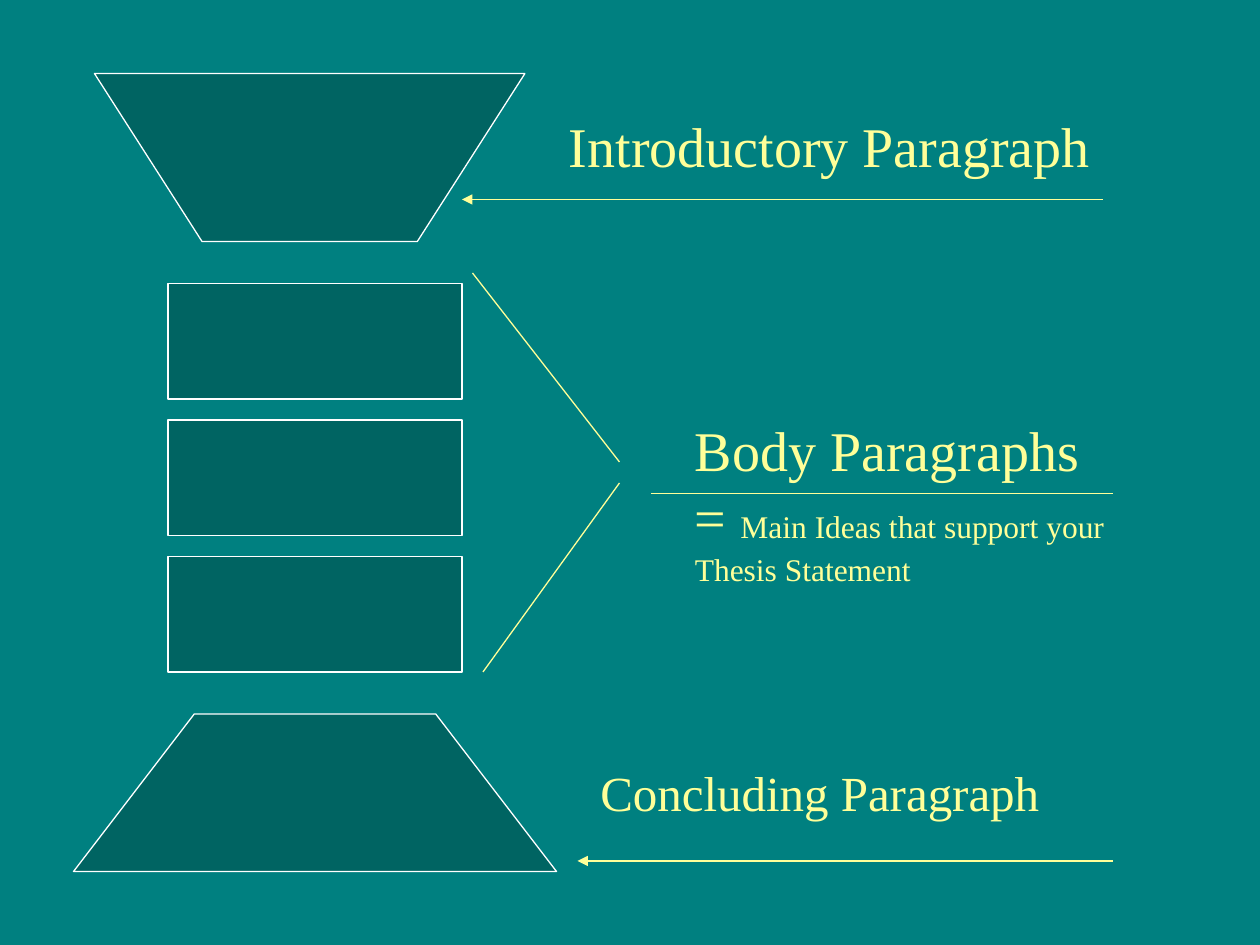
import pptx
import pptx.util
import pptx.dml.color
import pptx.enum.shapes
import pptx.oxml.ns
from dataclasses import dataclass
from lxml import etree


@dataclass(frozen=True)
class Theme:
    background: str = "008080"
    block: str = "006462"
    outline: str = "FFFFFF"
    accent: str = "FFFF99"
    font: str = "Times New Roman"
    large: int = 32
    medium: int = 28
    small: int = 18
    stroke: float = 0.75


@dataclass(frozen=True)
class Box:
    left: float
    top: float
    width: float
    height: float


THEME = Theme()
COLUMNS, ROWS = 120, 90

deck = pptx.Presentation()
deck.slide_width, deck.slide_height = pptx.util.Inches(10), pptx.util.Inches(7.5)
CELL_WIDTH, CELL_HEIGHT = deck.slide_width / COLUMNS, deck.slide_height / ROWS


def color(value):
    return pptx.dml.color.RGBColor.from_string(value)


def across(columns):
    return pptx.util.Emu(round(columns * CELL_WIDTH))


def down(rows):
    return pptx.util.Emu(round(rows * CELL_HEIGHT))


def place(box):
    return across(box.left), down(box.top), across(box.width), down(box.height)


def style_block(shape):
    shape.shadow.inherit = False
    shape.fill.solid()
    shape.fill.fore_color.rgb = color(THEME.block)
    shape.line.color.rgb = color(THEME.outline)
    shape.line.width = pptx.util.Pt(THEME.stroke)


def add_trapezoid(page, box, wide_top):
    """Draw a trapezoid whose short side is half its long side."""
    right, bottom = box.left + box.width, box.top + box.height
    inset = box.width / 4
    wide, narrow = (box.top, bottom) if wide_top else (bottom, box.top)
    corners = [(box.left, wide), (box.left + inset, narrow),
               (right - inset, narrow), (right, wide)]
    points = [(across(x), down(y)) for x, y in corners]
    builder = page.shapes.build_freeform(*points[0])
    builder.add_line_segments(points[1:], close=True)
    style_block(builder.convert_to_shape())


def add_line(page, start, end, arrow=False):
    line = page.shapes.add_connector(
        pptx.enum.shapes.MSO_CONNECTOR.STRAIGHT,
        across(start[0]), down(start[1]), across(end[0]), down(end[1]))
    line.line.color.rgb = color(THEME.accent)
    line.line.width = pptx.util.Pt(THEME.stroke)
    if arrow:
        etree.SubElement(line.line._get_or_add_ln(),
                         pptx.oxml.ns.qn("a:tailEnd"), type="triangle")
    etree.SubElement(line._element.spPr, pptx.oxml.ns.qn("a:effectLst"))


def add_label(page, box, spans):
    frame = page.shapes.add_textbox(*place(box)).text_frame
    frame.word_wrap = True
    para = frame.paragraphs[0]
    for text, size in spans:
        span = para.add_run()
        span.text = text
        span.font.color.rgb = color(THEME.accent)
        for name, value in {"name": THEME.font, "size": pptx.util.Pt(size)}.items():
            setattr(span.font, name, value)


def add_introduction(page, box):
    # Funnel, heading and arrow
    add_trapezoid(page, Box(box.left, box.top, 41, box.height), wide_top=True)
    add_label(page, Box(box.left + 44, box.top + 3, 60, 7.5),
              [("Introductory Paragraph", THEME.large)])
    arrow_row = box.top + 12
    add_line(page, (box.left + box.width, arrow_row), (box.left + 35, arrow_row), arrow=True)


def add_body(page, box, count=3, gap=2):
    # Equal blocks
    height = (box.height - gap * (count - 1)) / count
    for index in range(count):
        block = Box(box.left, box.top + index * (height + gap), 28, height)
        style_block(page.shapes.add_shape(
            pptx.enum.shapes.MSO_SHAPE.RECTANGLE, *place(block)))
    # Bracket lines that meet beside the label
    tip = box.left + 43
    add_line(page, (box.left + 29, box.top - 1), (tip, box.top + 17))
    add_line(page, (box.left + 30, box.top + box.height), (tip, box.top + 19))
    # Underlined label
    rule_row = box.top + 20
    add_line(page, (box.left + 46, rule_row), (box.left + box.width, rule_row))
    add_label(page, Box(box.left + 49, box.top + 12, 42, 14.2),
              [("Body Paragraphs = ", THEME.large),
               ("Main Ideas that support your Thesis Statement", THEME.small)])


def add_conclusion(page, box):
    # Base, heading and arrow
    add_trapezoid(page, Box(box.left, box.top, 46, box.height), wide_top=False)
    arrow_row = box.top + 14
    add_line(page, (box.left + box.width, arrow_row), (box.left + 48, arrow_row), arrow=True)
    add_label(page, Box(box.left + 49, box.top + 4, 47, 6.8),
              [("Concluding Paragraph", THEME.medium)])


page = deck.slides.add_slide(deck.slide_layouts[6])
page.background.fill.solid()
page.background.fill.fore_color.rgb = color(THEME.background)
add_introduction(page, Box(9, 7, 96, 16))
add_body(page, Box(16, 27, 90, 37))
add_conclusion(page, Box(7, 68, 99, 15))
deck.save("out.pptx")
